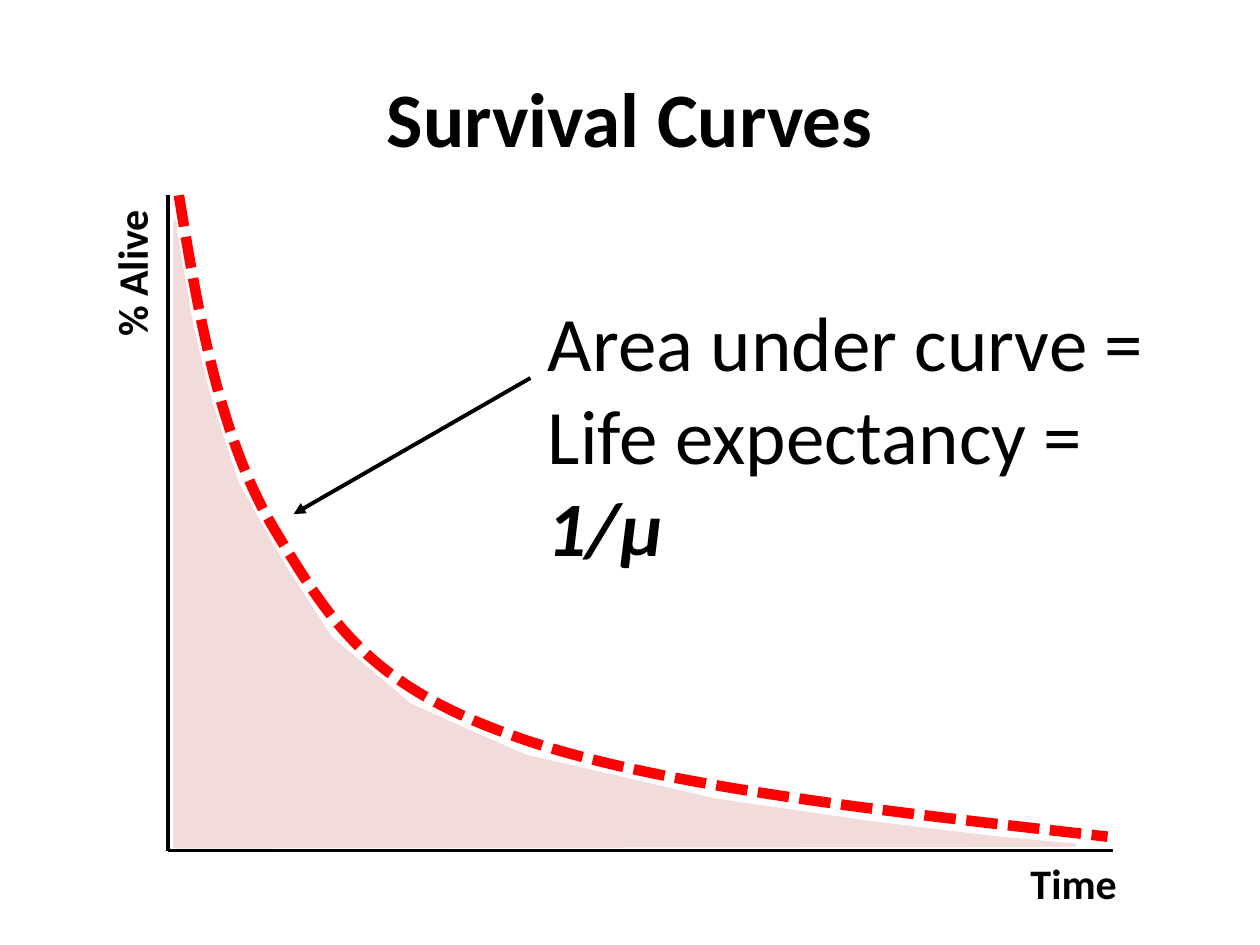
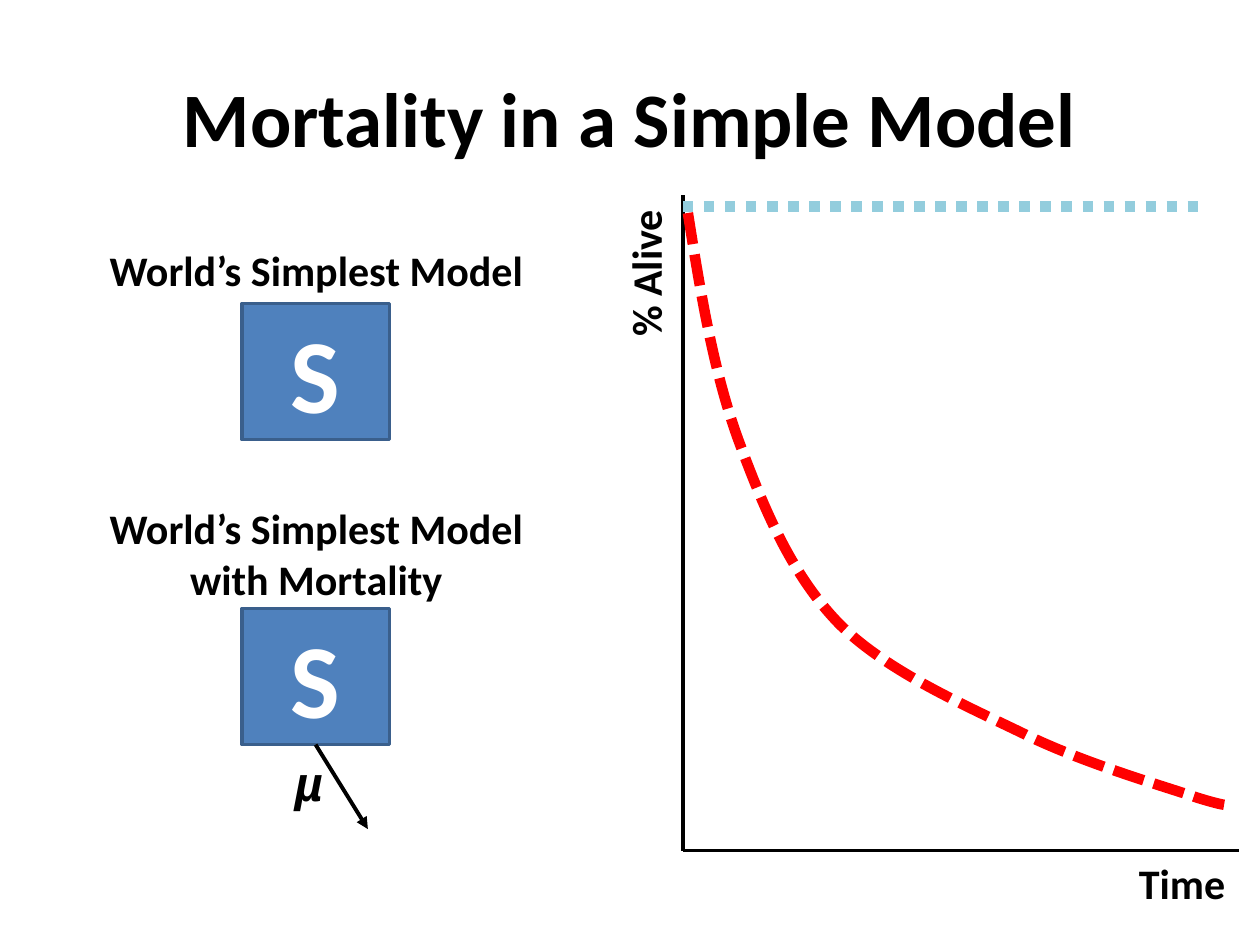
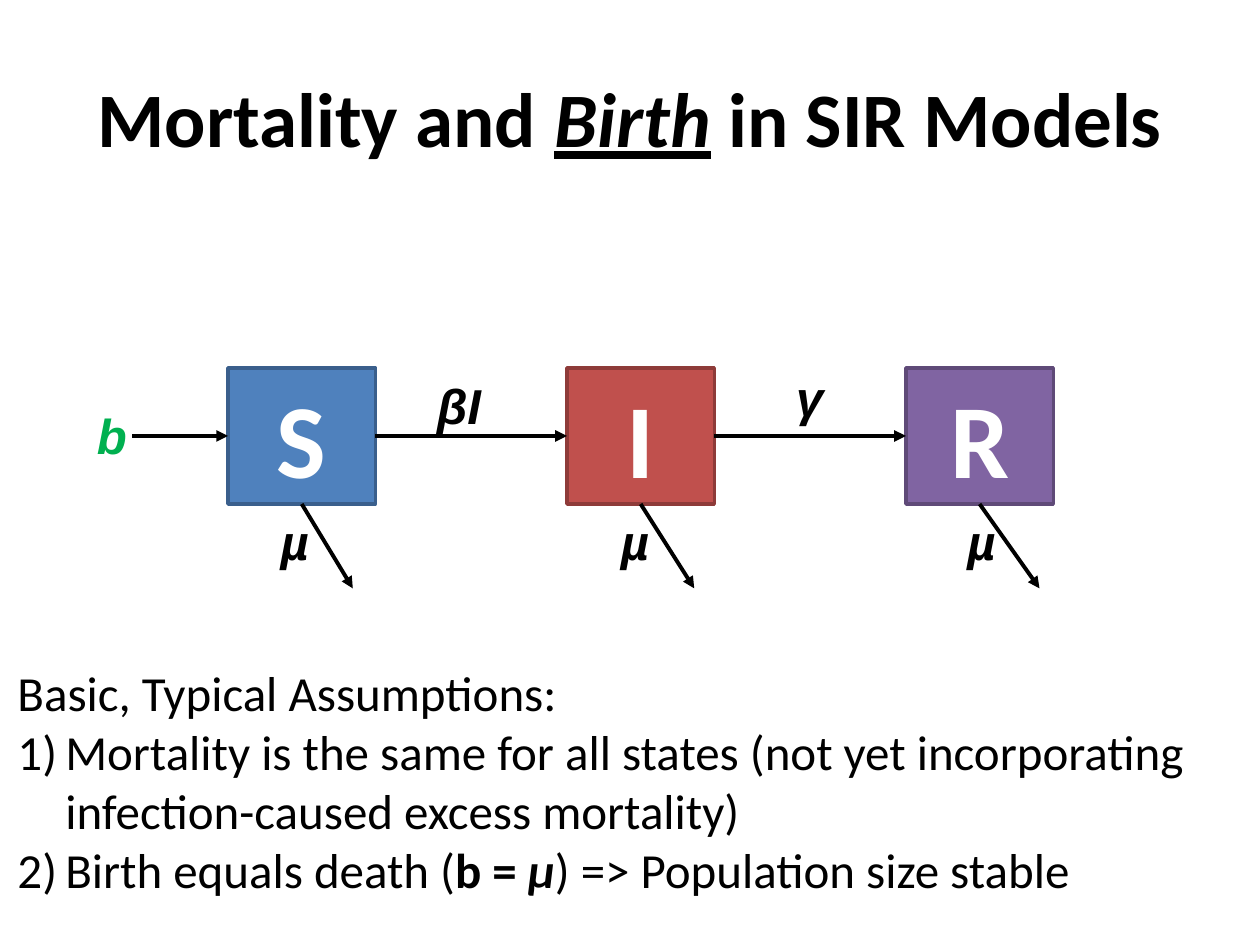
from lxml import etree
from pptx import Presentation
from pptx.dml.color import RGBColor
from pptx.enum.dml import MSO_LINE
from pptx.enum.shapes import MSO_CONNECTOR, MSO_SHAPE
from pptx.enum.text import MSO_ANCHOR, MSO_AUTO_SIZE, PP_ALIGN
from pptx.oxml.ns import qn
from pptx.util import Inches, Pt

STRAIGHT = MSO_CONNECTOR.STRAIGHT
RECTANGLE = MSO_SHAPE.RECTANGLE
LEFT, CENTER = PP_ALIGN.LEFT, PP_ALIGN.CENTER
MIDDLE = MSO_ANCHOR.MIDDLE
FIT_SHAPE, FIXED_SIZE = MSO_AUTO_SIZE.SHAPE_TO_FIT_TEXT, MSO_AUTO_SIZE.NONE
SHORT_DASH, DOT = MSO_LINE.SQUARE_DOT, MSO_LINE.ROUND_DOT

BLACK, WHITE, RED, GREEN = "000000", "FFFFFF", "FF0000", "00B050"
PINK, LIGHT_BLUE = "F2DCDB", "93CDDD"
BLUE_BOX = ("4F81BD", "3A5F8C")
RED_BOX = ("C0504D", "8E3B39")
PURPLE_BOX = ("8064A2", "5F4A78")
BOX_WIDTH, BOX_HEIGHT = 1.17, 1.08
AXIS_TOP, AXIS_BOTTOM = 1.55, 6.75

color = RGBColor.from_string


def add_text(slide, bounds, lines, size, bold=False, italic=False, font="Calibri",
             text_color=BLACK, align=LEFT, wrap=False):
    """Add a text box with one paragraph per line and return it."""
    box = slide.shapes.add_textbox(*map(Inches, bounds))
    frame = box.text_frame
    frame.word_wrap = wrap
    frame.auto_size = FIT_SHAPE
    frame.text = "\n".join(lines)
    for paragraph in frame.paragraphs:
        paragraph.alignment = align
        paragraph.font.name = font
        paragraph.font.size = Pt(size)
        paragraph.font.bold = bold
        paragraph.font.italic = italic
        paragraph.font.color.rgb = color(text_color)
    return box


def add_line(slide, start, end, arrow=False, line_color=BLACK, width=2.25):
    line = slide.shapes.add_connector(STRAIGHT, *map(Inches, (*start, *end)))
    line.line.color.rgb = color(line_color)
    line.line.width = Pt(width)
    properties = line._element.spPr
    if arrow:
        etree.SubElement(properties.find(qn("a:ln")), qn("a:tailEnd"), type="triangle")
    etree.SubElement(properties, qn("a:effectLst"))
    return line


presentation = Presentation()
presentation.slide_width = Inches(10)
presentation.slide_height = Inches(7.5)

# Titles
slides, titles = [], []
for title in ("Survival Curves", "Mortality in a Simple Model", "Mortality and "):
    slide = presentation.slides.add_slide(presentation.slide_layouts[6])
    title_box = add_text(slide, (0.5, 0.3, 9, 1.25), [title], 44, bold=True,
                         align=CENTER, wrap=True)
    title_box.text_frame.auto_size = FIXED_SIZE
    title_box.text_frame.vertical_anchor = MIDDLE
    slides.append(slide)
    titles.append(title_box.text_frame.paragraphs[0])
survival_slide, simple_slide, sir_slide = slides

birth = titles[2].add_run()
birth.text = "Birth"
birth.font.italic = birth.font.underline = True
titles[2].add_run().text = " in SIR Models"

# Survival plots: slide, axis left and right, left of both labels, curve points
long_curve = [
    (1.42, 1.55), (1.58, 2.53), (1.75, 3.5), (2.19, 4.22), (2.62, 4.93),
    (2.92, 5.42), (4.02, 5.82), (5.12, 6.23), (6.95, 6.43), (8.79, 6.64)]
short_curve = [
    (5.46, 1.69), (5.56, 2.32), (5.66, 2.94), (5.86, 3.49), (6.06, 4.03),
    (6.28, 4.56), (6.66, 4.95), (7.05, 5.34), (7.69, 5.61), (8.16, 5.84),
    (8.64, 6.07), (9.24, 6.24), (9.5, 6.33), (9.76, 6.41), (9.76, 6.39), (9.75, 6.38)]
plots = [
    (survival_slide, 1.33, 8.83, 0.43, 8.08, long_curve),
    (simple_slide, 5.42, 9.83, 4.51, 8.94, short_curve)]
for slide, axis_left, axis_right, alive_left, time_left, points in plots:
    origin = (axis_left, AXIS_BOTTOM)
    add_line(slide, (axis_left, AXIS_TOP), origin)
    add_line(slide, (axis_right, AXIS_BOTTOM), origin)

    builder = slide.shapes.build_freeform(*map(Inches, points[0]))
    builder.add_line_segments([tuple(map(Inches, point)) for point in points[1:]], close=False)
    curve = builder.convert_to_shape()
    # Every three segments hold two control points and an end: one Bézier curve
    segments = list(curve._element.iter(qn("a:lnTo")))
    for first in range(0, len(segments), 3):
        bezier = etree.Element(qn("a:cubicBezTo"))
        segments[first].addprevious(bezier)
        for segment in segments[first:first + 3]:
            bezier.append(segment[0])
            segment.getparent().remove(segment)
    curve.shadow.inherit = False
    curve.fill.background()
    curve.line.color.rgb = color(RED)
    curve.line.width = Pt(6)
    curve.line.dash_style = SHORT_DASH

    alive = add_text(slide, (alive_left, 1.91, 1.22, 0.5), ["% Alive"], 24, bold=True)
    alive.rotation = 270
    add_text(slide, (time_left, 6.76, 0.89, 0.5), ["Time"], 24, bold=True)

# Slide 1: area under the curve
area_points = [
    (1.39, 1.76), (1.39, 6.72), (8.53, 6.71), (7.89, 6.65), (6.9, 6.53),
    (5.67, 6.35), (4.16, 6), (3.26, 5.6), (2.62, 5.06), (2.24, 4.47),
    (1.88, 3.83), (1.66, 3.15), (1.52, 2.58), (1.39, 1.82)]
builder = survival_slide.shapes.build_freeform(*map(Inches, area_points[0]))
builder.add_line_segments([tuple(map(Inches, point)) for point in area_points[1:]])
area = builder.convert_to_shape()
area.shadow.inherit = False
area.fill.solid()
area.fill.fore_color.rgb = color(PINK)
area.line.color.rgb = color(PINK)
area.line.width = Pt(2)

area_note = add_text(survival_slide, (4.25, 2.29, 4.98, 2.32),
                     ["Area under curve =", "Life expectancy =", "1/µ"], 44)
rate = area_note.text_frame.paragraphs[2]
rate.font.bold = rate.font.italic = True
add_line(survival_slide, (4.21, 3), (2.33, 4.08), arrow=True)

# Slide 2: model names and the level without mortality
add_text(simple_slide, (0.75, 1.89, 3.52, 0.5), ["World’s Simplest Model"], 24,
         bold=True, align=CENTER)
add_text(simple_slide, (0.75, 3.94, 3.52, 0.91),
         ["World’s Simplest Model", "with Mortality"], 24, bold=True, align=CENTER)
no_mortality = add_line(simple_slide, (5.42, 1.64), (9.58, 1.64),
                        line_color=LIGHT_BLUE, width=6)
no_mortality.line.dash_style = DOT

# State boxes: slide, state, left, top, colours, end of death arrow, left of µ
states = [
    (simple_slide, "S", 1.92, 2.41, BLUE_BOX, None, None),
    (simple_slide, "S", 1.92, 4.83, BLUE_BOX, 2.92, 2.24),
    (sir_slide, "S", 1.81, 2.92, BLUE_BOX, 2.8, 2.13),
    (sir_slide, "I", 4.5, 2.92, RED_BOX, 5.51, 4.83),
    (sir_slide, "R", 7.19, 2.92, PURPLE_BOX, 8.25, 7.58)]
sir_boxes = []
for slide, state, left, top, (fill, outline), death_end, mu_left in states:
    box = slide.shapes.add_shape(
        RECTANGLE, *map(Inches, (left, top, BOX_WIDTH, BOX_HEIGHT)))
    box.shadow.inherit = False
    box.fill.solid()
    box.fill.fore_color.rgb = color(fill)
    box.line.color.rgb = color(outline)
    box.line.width = Pt(2)
    box.text_frame.text = state
    box.text_frame.vertical_anchor = MIDDLE
    paragraph = box.text_frame.paragraphs[0]
    paragraph.alignment = CENTER
    paragraph.font.name = "Calibri"
    paragraph.font.size = Pt(60)
    paragraph.font.bold = True
    paragraph.font.color.rgb = color(WHITE)
    if slide is sir_slide:
        sir_boxes.append(box)
    if death_end:
        bottom = top + BOX_HEIGHT
        death = add_line(slide, (left + BOX_WIDTH / 2, bottom),
                         (death_end, bottom + 0.67), arrow=True)
        death.begin_connect(box, 2)
        add_text(slide, (mu_left, bottom + 0.01, 0.43, 0.57), ["µ"], 28,
                 bold=True, italic=True, font="Arial")

# Slide 3: flows between the states
birth_arrow = add_line(sir_slide, (1.05, 3.46), (1.81, 3.46), arrow=True)
birth_arrow.end_connect(sir_boxes[0], 1)
for source, target in zip(sir_boxes, sir_boxes[1:]):
    flow = add_line(sir_slide, (0, 0), (1, 0), arrow=True)
    flow.begin_connect(source, 3)
    flow.end_connect(target, 1)
for symbol, left, top, width, symbol_color in (
        ("b", 0.67, 3.17, 0.44, GREEN),
        ("βI", 3.37, 2.93, 0.55, BLACK),
        ("γ", 6.22, 2.87, 0.42, BLACK)):
    add_text(sir_slide, (left, top, width, 0.57), [symbol], 28, bold=True,
             italic=True, font="Arial", text_color=symbol_color)

assumptions = add_text(
    sir_slide, (0.04, 5.21, 9.92, 1.99),
    ["Basic, Typical Assumptions:",
     "Mortality is the same for all states (not yet incorporating "
     "infection-caused excess mortality)",
     "Birth equals death ("], 28, wrap=True)
numbered = assumptions.text_frame.paragraphs[1:]
for paragraph in numbered:
    properties = paragraph._p.get_or_add_pPr()
    properties.set("marL", str(Inches(0.38)))
    properties.set("indent", str(Inches(-0.38)))
    properties.insert(0, etree.Element(qn("a:buAutoNum"), type="arabicParenR"))
for text, bold, italic in (("b = ", True, False), ("μ", True, True),
                           (") => Population size stable", False, False)):
    run = numbered[-1].add_run()
    run.text = text
    run.font.bold = bold
    run.font.italic = italic

presentation.save("out.pptx")
